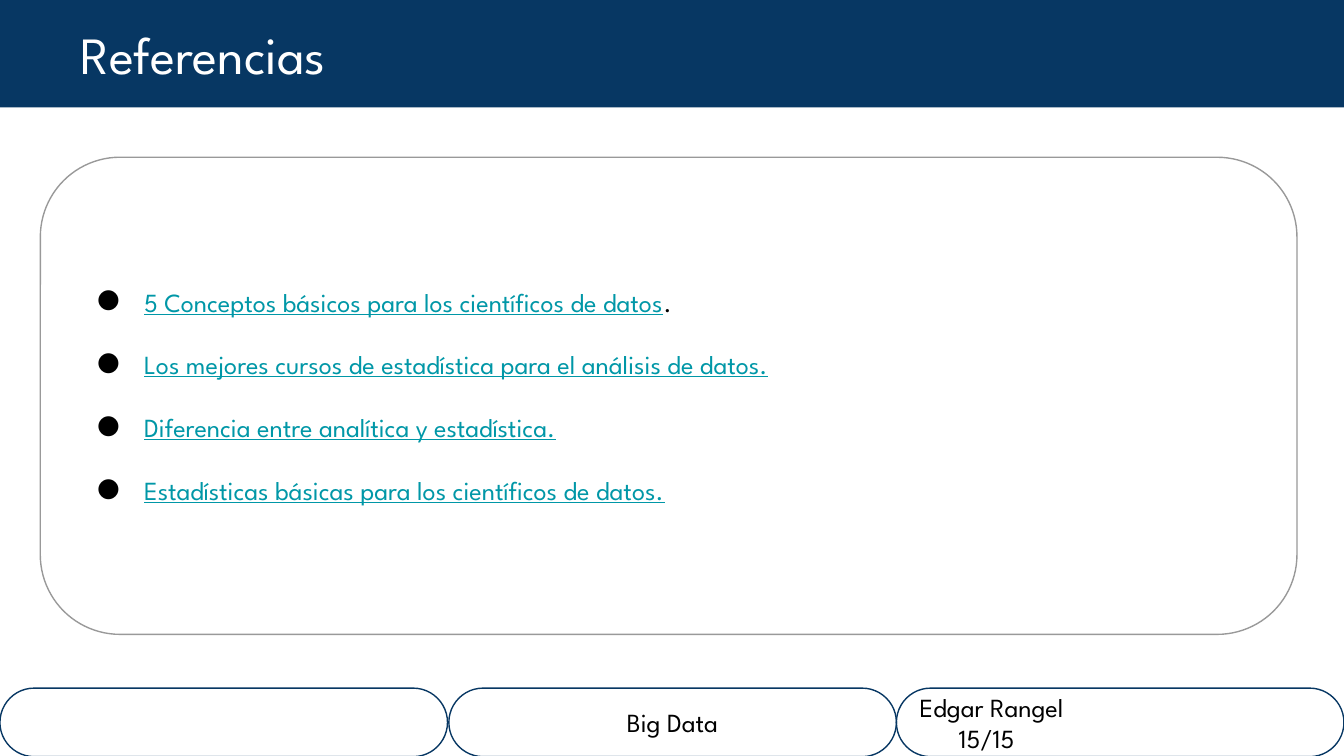
from lxml import etree
from pptx import Presentation
from pptx.dml.color import RGBColor
from pptx.enum import shapes, text
from pptx.oxml import ns
from pptx.util import Inches, Pt

FONT = "League Spartan"
NAVY, GREY, TEAL = "073763", "999999", "0097A7"
BLACK, WHITE = "000000", "FFFFFF"
TITLE = "Referencias"
LINKS = [
    ("5 Conceptos básicos para los científicos de datos", "."),
    ("Los mejores cursos de estadística para el análisis de datos.", ""),
    ("Diferencia entre analítica y estadística.", ""),
    ("Estadísticas básicas para los científicos de datos.", ""),
]
FOOTER = [(0, []), (3.34, ["Big Data"]), (6.67, ["Edgar Rangel", "15/15"])]


def rgb(code):
    return RGBColor.from_string(code)


def add_box(slide, kind, area, fill=None, line=None, adj=None):
    box = slide.shapes.add_shape(kind, *map(Inches, area))
    box.shadow.inherit = False
    if adj is not None:
        box.adjustments[0] = adj
    if fill:
        box.fill.solid()
        box.fill.fore_color.rgb = rgb(fill)
    else:
        box.fill.background()
    if line:
        box.line.color.rgb = rgb(line)
        box.line.width = Pt(0.75)
    else:
        box.line.fill.background()
    frame = box.text_frame
    frame.word_wrap = True
    frame.vertical_anchor = text.MSO_ANCHOR.MIDDLE
    frame.margin_left = frame.margin_right = Inches(0.1)
    frame.margin_top = frame.margin_bottom = Inches(0.1)
    return frame


def next_par(frame, first):
    return frame.paragraphs[0] if first else frame.add_paragraph()


def indent(par, left, hang=0):
    props = par._p.get_or_add_pPr()
    props.set("marL", str(Inches(left)))
    props.set("indent", str(Inches(-hang)))
    return props


def add_bullet(par):
    props = indent(par, 0.5, 0.35)
    tint = etree.SubElement(props, ns.qn("a:buClr"))
    etree.SubElement(tint, ns.qn("a:srgbClr")).set("val", BLACK)
    etree.SubElement(props, ns.qn("a:buSzPts")).set("val", "1400")
    etree.SubElement(props, ns.qn("a:buFont")).set("typeface", FONT)
    etree.SubElement(props, ns.qn("a:buChar")).set("char", "●")


def style(par, size, color=None, align=text.PP_ALIGN.LEFT):
    par.alignment = align
    par.font.name = FONT
    par.font.size = Pt(size)
    if color:
        par.font.color.rgb = rgb(color)


def add_title(slide):
    frame = add_box(slide, shapes.MSO_SHAPE.RECTANGLE, (0, 0, 10, 0.8), fill=NAVY)
    par = frame.paragraphs[0]
    par.text = TITLE
    indent(par, 0.5)
    style(par, 28, WHITE)


def add_links(slide):
    frame = add_box(slide, shapes.MSO_SHAPE.ROUNDED_RECTANGLE,
                    (0.3, 1.17, 9.35, 3.55), line=GREY, adj=0.167)
    for i, (label, tail) in enumerate(LINKS):
        par = next_par(frame, i == 0)
        add_bullet(par)
        style(par, 14)
        if i:
            par.space_before = Pt(16.8)
        for words, color, under in ((label, TEAL, True), (tail, BLACK, False)):
            if words:
                run = par.add_run()
                run.text = words
                run.font.size = Pt(14)
                run.font.color.rgb = rgb(color)
                run.font.underline = under


def add_footer(slide):
    for i, (left, lines) in enumerate(FOOTER):
        frame = add_box(slide, shapes.MSO_SHAPE.ROUNDED_RECTANGLE,
                        (left, 5.12, 3.33, 0.51), line=NAVY, adj=0.5)
        align = text.PP_ALIGN.CENTER if i == 1 else text.PP_ALIGN.LEFT
        for j, words in enumerate(lines):
            par = next_par(frame, j == 0)
            par.text = words
            indent(par, 0.29 * j)
            style(par, 14, BLACK, align)


def main():
    deck = Presentation()
    deck.slide_width = Inches(10)
    deck.slide_height = deck.slide_width * 9 // 16
    slide = deck.slides.add_slide(deck.slide_layouts[6])
    add_title(slide)
    add_links(slide)
    add_footer(slide)
    deck.save("out.pptx")


if __name__ == "__main__":
    main()
